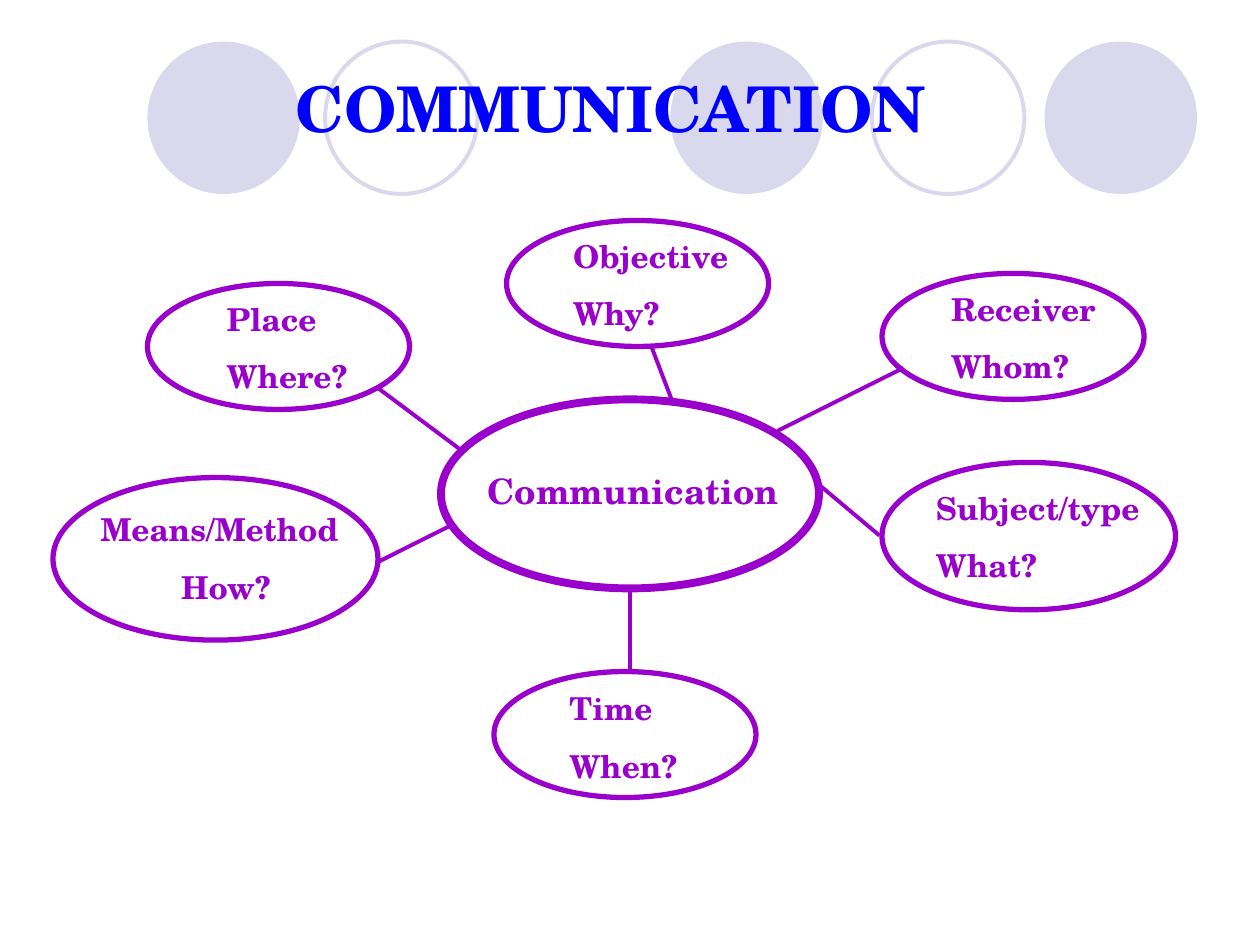
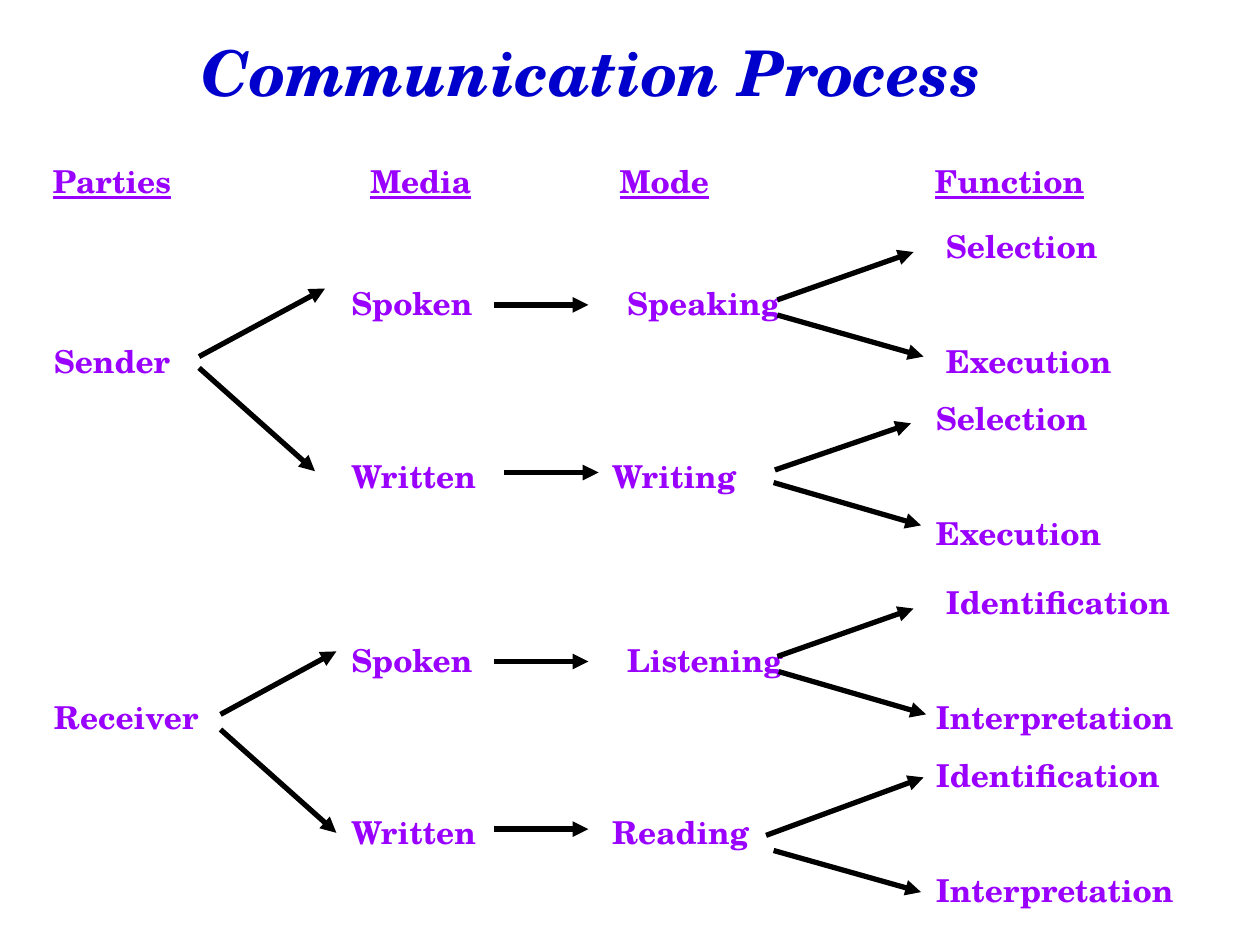
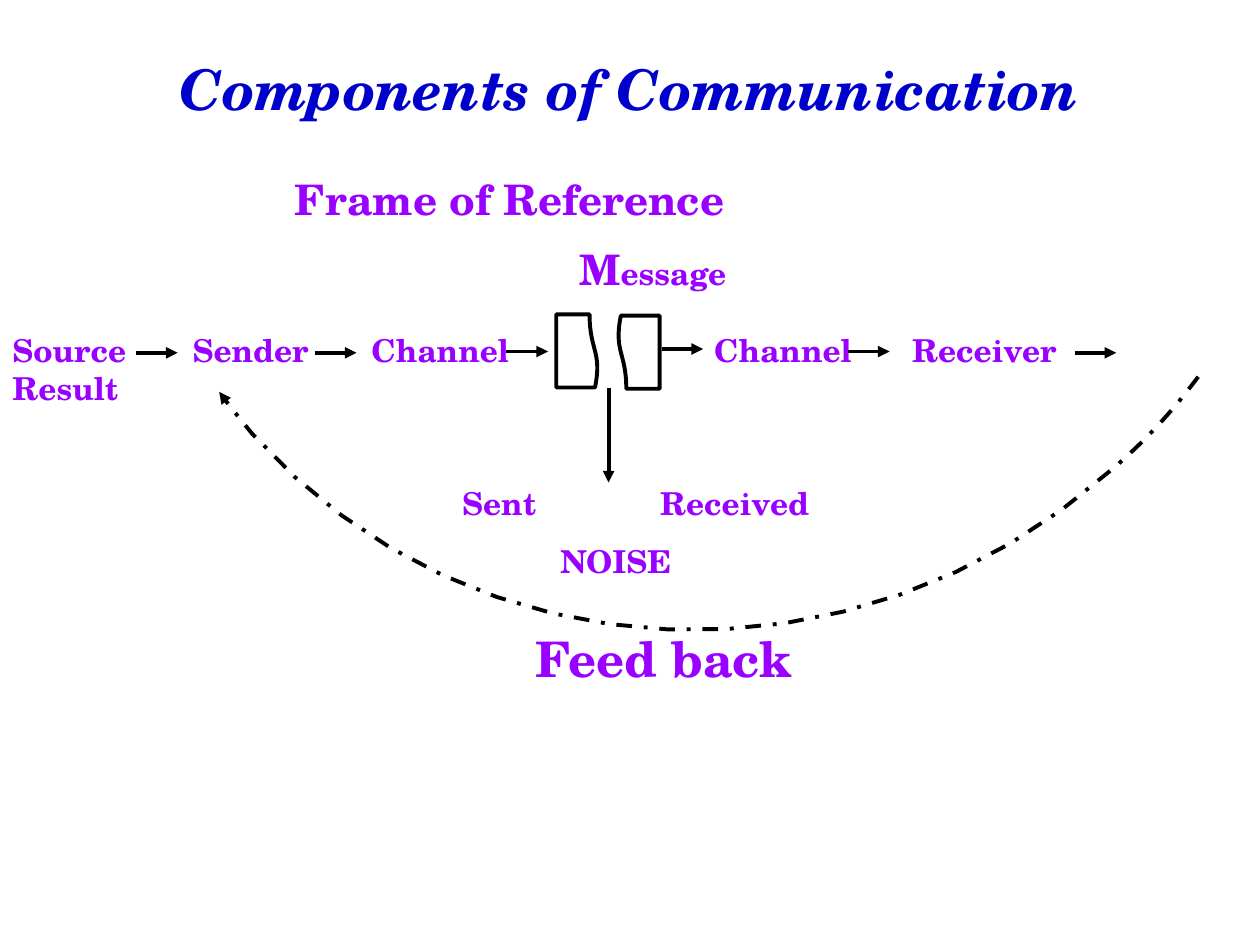
from dataclasses import dataclass
from lxml.etree import SubElement
from pptx import Presentation
from pptx.dml.color import RGBColor
from pptx.enum.dml import MSO_LINE
from pptx.enum.shapes import MSO_CONNECTOR, MSO_SHAPE
from pptx.enum.text import MSO_AUTO_SIZE
from pptx.oxml.ns import qn
from pptx.util import Inches, Pt


@dataclass(frozen=True)
class Theme:
    """Colours, font and type sizes shared by the slides."""
    font: str = "TeX Gyre Schola"
    pale: str = "D9D8EC"
    blue: str = "0000FF"
    navy: str = "0000CC"
    purple: str = "9900CC"
    violet: str = "9900FF"
    black: str = "000000"
    title: int = 36
    subtitle: int = 32
    feedback: int = 28
    heading: int = 24
    hub: int = 20
    body: int = 18
    gap: float = 11.25


T = Theme()


def apply(obj, values):
    """Set each named attribute on an object."""
    for name, value in values.items():
        setattr(obj, name, value)


def inches(values):
    """Turn numbers into lengths."""
    return [Inches(v) for v in values]


def set_line(line, color, width):
    """Give a line its colour and width."""
    line.color.rgb = RGBColor.from_string(color)
    line.width = Pt(width)


def add_head(line):
    """Put a triangle at the end of a line."""
    SubElement(line._get_or_add_ln(), qn("a:tailEnd"), type="triangle")


def add_text(s, box, rows, color, size=T.body, **fmt):
    """Add a text box; each row is (runs, tab stops, space before)."""
    tf = s.shapes.add_textbox(*inches(box)).text_frame
    apply(tf, {"word_wrap": True, "auto_size": MSO_AUTO_SIZE.SHAPE_TO_FIT_TEXT})
    for i, (runs, tabs, before) in enumerate(rows):
        p = tf.paragraphs[0] if i == 0 else tf.add_paragraph()
        p.space_before = Pt(before if i else 0)
        if tabs:
            tab_list = SubElement(p._p.get_or_add_pPr(), qn("a:tabLst"))
            for pos in tabs:
                SubElement(tab_list, qn("a:tab"), pos=str(Inches(pos)), algn="l")
        for words, extra in runs:
            r = p.add_run()
            r.text = words
            apply(r.font, {"name": T.font, "size": Pt(size), "bold": True, **fmt, **extra})
            r.font.color.rgb = RGBColor.from_string(color)


def row(words, *tabs, before=T.gap):
    """Make a row of one run."""
    return [(words, {})], tabs, before


def add_title(s, box, words, color=T.navy, size=T.title, italic=True):
    """Add the slide title."""
    add_text(s, box, [row(words)], color, size, italic=italic)


def add_outline(s, kind, box, color, width, rotation=0):
    """Add an unfilled preset shape."""
    sp = s.shapes.add_shape(kind, *inches(box))
    sp.shadow.inherit = False
    sp.rotation = rotation
    sp.fill.background()
    set_line(sp.line, color, width)
    return sp


def add_link(s, ends, color=T.black, width=2.25, head=True, origin=(0, 0)):
    """Add a straight connector, with its ends relative to an origin."""
    x, y = origin
    x1, y1, x2, y2 = ends
    c = s.shapes.add_connector(MSO_CONNECTOR.STRAIGHT,
                               *inches((x + x1, y + y1, x + x2, y + y2)))
    set_line(c.line, color, width)
    if head:
        add_head(c.line)
    SubElement(c._element.spPr, qn("a:effectLst"))


def add_circle_band(s, left, top, size=1.21):
    """Draw the row of pale circles behind the title."""
    for dx, solid in ((4.15, True), (7.12, True), (0, True), (5.75, False), (1.41, False)):
        sp = add_outline(s, MSO_SHAPE.OVAL, (left + dx, top, size, size), T.pale, 2.25)
        if solid:
            sp.fill.solid()
            sp.fill.fore_color.rgb = RGBColor.from_string(T.pale)
            sp.line.fill.background()


def add_topic(s, box, text_at, words, spoke, tabs=()):
    """Draw one topic ellipse with its spoke and two lines of text."""
    left, top, width, _ = box
    dx, dy = text_at
    add_outline(s, MSO_SHAPE.OVAL, box, T.purple, 3)
    add_link(s, spoke, T.purple, head=False)
    add_text(s, (left + dx, top + dy, width - dx, 0.86),
             [row(w, *tabs) for w in words], T.purple)


def build_mind_map(s):
    """Build the slide with topics around a hub."""
    add_circle_band(s, 1.17, 0.33)
    add_title(s, (2.25, 0.5, 5.83, 0.7), "COMMUNICATION", T.blue, italic=False)
    add_outline(s, MSO_SHAPE.OVAL, (3.5, 3.17, 3, 1.5), T.purple, 4.5)
    add_text(s, (3.77, 3.68, 2.58, 0.44), [row("Communication")], T.purple, T.hub)
    w, h = 2.08, 1
    add_topic(s, (4.02, 1.75, w, h), (0.43, 0.08), ("Objective", "Why?"),
              (5.17, 2.75, 5.33, 3.17))
    add_topic(s, (7, 2.17, w, h), (0.45, 0.08), ("Receiver", "Whom?"),
              (6.17, 3.42, 7.17, 2.92))
    add_topic(s, (1.17, 2.25, w, h), (0.53, 0.08), ("Place", "Where?"),
              (3, 3.08, 3.67, 3.58))
    add_topic(s, (0.42, 3.79, 2.58, 1.29), (0.28, 0.21), ("Means/Method", "\tHow?"),
              (3, 4.46, 3.58, 4.17), (0.64,))
    add_topic(s, (7, 3.67, 2.33, 1.17), (0.33, 0.16), ("Subject/type", "What?"),
              (6.48, 3.83, 6.98, 4.25))
    add_topic(s, (3.92, 5.33, w, h), (0.5, 0.09), ("Time", "When?"),
              (5, 4.67, 5, 5.33))


def add_party(s, left, top, party, modes, functions, last_tab, arrows):
    """Draw one party's tree of media, modes and functions."""
    first, second = functions
    add_text(s, (left, top, 9.67, 2.68), [
        row(f"\t{first}", 7.08),
        row(f"\tSpoken\t{modes[0]}", 2.36, 4.55),
        row(f"{party}\t{second}", last_tab),
        row(f"\t{first}", 7),
        row(f"\tWritten\t{modes[1]}", 2.36, 4.43),
        row(f"\t{second}", 7),
    ], T.violet)
    shared = [(3.59, 0.67, 4.34, 0.67), (5.84, 0.63, 6.92, 0.25)]
    for ends in shared + arrows:
        add_link(s, ends, width=3, origin=(left, top))


def build_process(s):
    """Build the slide with the communication process."""
    add_title(s, (1.5, 0.22, 7, 0.7), "Communication Process")
    heads = []
    for name in ("Parties", "Media", "Mode", "Function"):
        if heads:
            heads.append(("\t", {}))
        heads.append((name, {"underline": True}))
    add_text(s, (0.32, 1.24, 9.25, 0.4), [(heads, (2.52, 4.5, 7), 0)], T.violet)
    add_party(s, 0.33, 1.75, "Sender", ("Speaking", "Writing"),
              ("Selection", "Execution"), 7.08,
              [(1.25, 1.08, 2.25, 0.54), (1.25, 1.17, 2.17, 1.99),
               (3.67, 2, 4.42, 2), (5.84, 0.75, 7, 1.08),
               (5.82, 1.98, 6.9, 1.61), (5.81, 2.08, 6.98, 2.42)])
    add_party(s, 0.33, 4.58, "Receiver", ("Listening", "Reading"),
              ("Identification", "Interpretation"), 7,
              [(1.42, 1.09, 2.34, 0.59), (1.42, 1.21, 2.34, 2.03),
               (3.59, 2, 4.34, 2), (5.85, 0.75, 7.02, 1.09),
               (5.75, 2.05, 7, 1.59), (5.81, 2.17, 6.98, 2.5)])


def bezier(points, steps=16):
    """List the points of a cubic curve after its start."""
    for i in range(1, steps + 1):
        t = i / steps
        weights = ((1 - t) ** 3, 3 * t * (1 - t) ** 2, 3 * t * t * (1 - t), t ** 3)
        yield tuple(Inches(sum(w * p[axis] for w, p in zip(weights, points)))
                    for axis in (0, 1))


def add_feedback(s, left, top):
    """Draw the dashed feedback arc and its label."""
    knots = [(7.77, 0), (7.57, 0.27), (7.34, 0.52), (7.08, 0.74),
             (5.05, 2.54), (2, 2.41), (0.26, 0.45),
             (0.17, 0.34), (0.08, 0.23), (0, 0.12)]
    knots = [(left + x, top + y) for x, y in knots]
    fb = s.shapes.build_freeform(*inches(knots[0]))
    for i in range(0, len(knots) - 1, 3):
        fb.add_line_segments(list(bezier(knots[i:i + 4])), close=False)
    sp = fb.convert_to_shape()
    sp.shadow.inherit = False
    sp.fill.background()
    set_line(sp.line, T.black, 2.25)
    sp.line.dash_style = MSO_LINE.DASH_DOT
    add_head(sp.line)
    add_text(s, (left + 2.41, top + 1.95, 3.42, 0.57), [row("Feed back")],
             T.violet, T.feedback)


def add_chain(s, left, top):
    """Draw the chain from source to result, with the split message."""
    add_text(s, (left, top, 10, 1.77), [
        row("Source\tSender\tChannel\tChannel\tReceiver", 1.43, 2.85, 5.57, 7.14),
        row("Result", before=0),
        row("\tSent\tReceived", 3.57, 5.14, before=44.2),
        row("\tNOISE", 4.35),
    ], T.violet)
    for x, y in ((1.08, 0.22), (2.5, 0.22), (4.02, 0.21), (5.25, 0.19),
                 (6.73, 0.21), (8.53, 0.22)):
        add_link(s, (x, y, x + 0.33, y), origin=(left, top))
    add_link(s, (4.83, 0.5, 4.83, 1.25), origin=(left, top))
    for x, y, turn in ((4.29, 0.04, 270), (4.78, 0.05, 90)):
        add_outline(s, MSO_SHAPE.FLOWCHART_DOCUMENT, (left + x, top + y, 0.58, 0.33),
                    T.black, 2.25, turn)


def build_components(s):
    """Build the slide with the components of communication."""
    add_title(s, (1.33, 0.38, 7.83, 0.64), "Components of Communication", size=T.subtitle)
    add_text(s, (0.25, 1.33, 9.75, 1.06), [
        row("\tFrame of Reference", 1.99),
        ([("\tM", {}), ("essage", {"size": Pt(T.body)})], (4.25,), T.gap),
    ], T.violet, T.heading)
    add_chain(s, 0, 2.58)
    add_feedback(s, 1.74, 2.99)


def main():
    """Build and save the presentation."""
    prs = Presentation()
    apply(prs, {"slide_width": Inches(10), "slide_height": Inches(7.5)})
    for build in (build_mind_map, build_process, build_components):
        build(prs.slides.add_slide(prs.slide_layouts[6]))
    prs.save("out.pptx")


if __name__ == "__main__":
    main()
